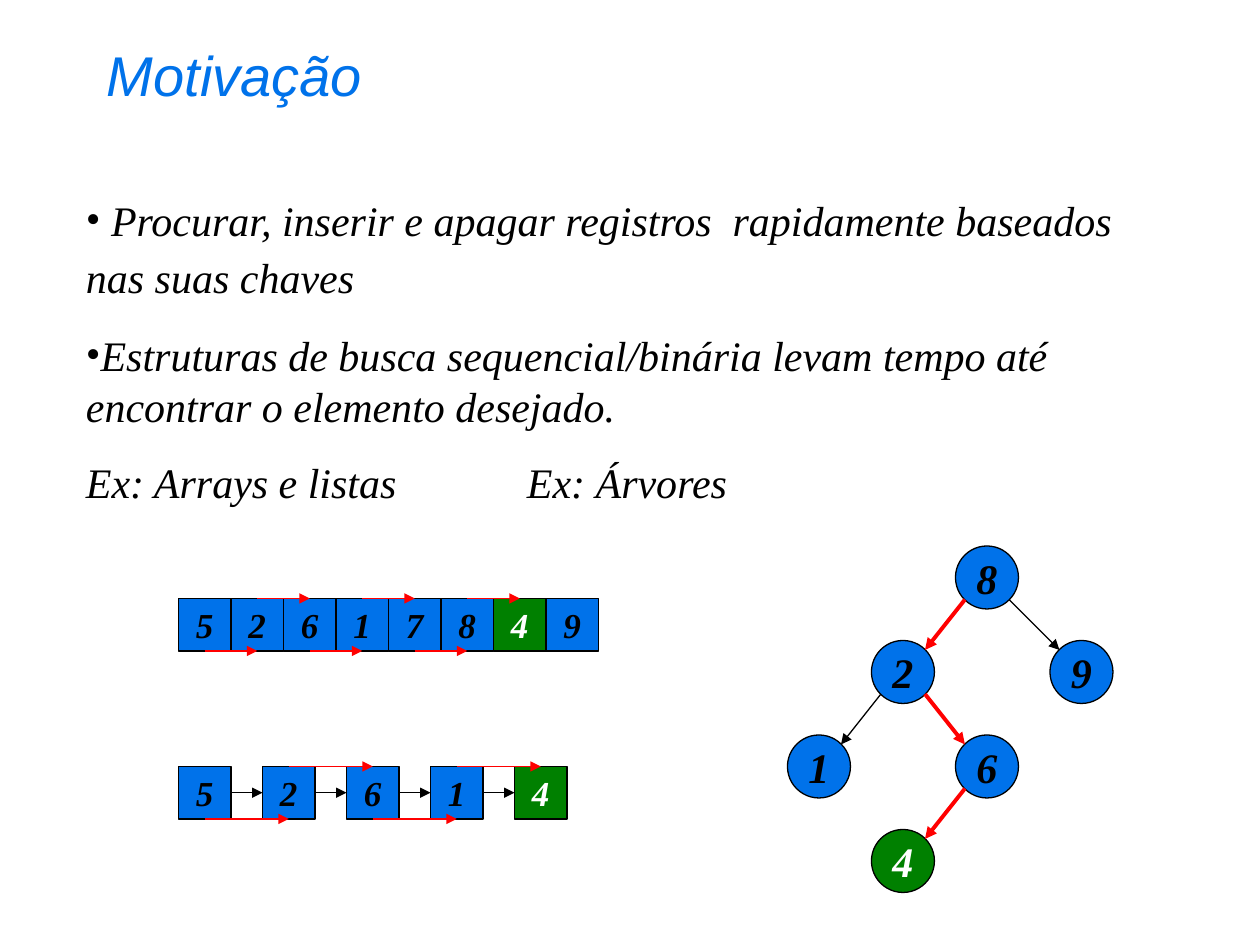
from lxml.etree import SubElement
from pptx import Presentation
from pptx.dml.color import RGBColor
from pptx.enum.shapes import MSO_CONNECTOR, MSO_SHAPE
from pptx.enum.text import MSO_ANCHOR, PP_ALIGN
from pptx.oxml.ns import qn
from pptx.util import Pt

PX = 7620  # EMU per px, 120 px to the inch
BLUE = RGBColor(0x00, 0x72, 0xEA)
GREEN = RGBColor(0x00, 0x80, 0x00)
RED = RGBColor(0xFF, 0x00, 0x00)
BLACK = RGBColor(0x00, 0x00, 0x00)
WHITE = RGBColor(0xFF, 0xFF, 0xFF)
SERIF, SANS = "Times New Roman", "Arial"
FOUND = "4"  # the key being searched for
CELL = 50
NODE = 60


def add_span(para, text, size, color=BLACK, face=SERIF, bold=False):
    span = para.add_run()
    span.text = text
    font = span.font
    font.name, font.size, font.bold, font.italic = face, Pt(size), bold, True
    font.color.rgb = color


def add_text_frame(page, left, top, width, height):
    box = page.shapes.add_textbox(left * PX, top * PX, width * PX, height * PX)
    box.text_frame.word_wrap = True
    return box.text_frame


def set_bullet(para, mark):
    properties = para._p.get_or_add_pPr()
    if not mark:
        SubElement(properties, qn("a:buNone"))
        return
    properties.set("marL", "0")
    properties.set("indent", str(-20 * PX))
    color = SubElement(properties, qn("a:buClr"))
    SubElement(color, qn("a:srgbClr"), val=str(BLACK))
    SubElement(properties, qn("a:buFont"), typeface=SERIF)
    SubElement(properties, qn("a:buChar"), char=mark)


def add_key(page, kind, left, top, side, key, size):
    shape = page.shapes.add_shape(kind, left * PX, top * PX, side * PX, side * PX)
    shape.shadow.inherit = False
    shape.fill.solid()
    shape.fill.fore_color.rgb = GREEN if key == FOUND else BLUE
    shape.line.color.rgb = BLACK
    shape.line.width = Pt(0.75)
    frame = shape.text_frame
    frame.word_wrap = False
    frame.vertical_anchor = MSO_ANCHOR.MIDDLE
    para = frame.paragraphs[0]
    para.alignment = PP_ALIGN.CENTER
    add_span(para, key, size, WHITE if key == FOUND else BLACK, bold=True)


def add_arrow(page, start, end, color=BLACK, width=0.75, kind=MSO_CONNECTOR.STRAIGHT):
    ends = [value * PX for value in (*start, *end)]
    arrow = page.shapes.add_connector(kind, *ends)
    arrow.line.color.rgb = color
    arrow.line.width = Pt(width)
    SubElement(arrow.line._get_or_add_ln(), qn("a:tailEnd"), type="triangle")
    SubElement(arrow._element.spPr, qn("a:effectLst"))


def add_title(page, left, top, width, height):
    para = add_text_frame(page, left, top, width, height).paragraphs[0]
    para.line_spacing = 0.9
    add_span(para, "Motivação", 32, BLUE, SANS)


def add_body(page, left, top, width, height):
    frame = add_text_frame(page, left, top, width, height)
    paragraphs = [
        ("•", [(" Procurar, inserir e apagar registros  rapidamente baseados "
                "nas suas chaves", 24), (" ", 28)]),
        ("•", [("Estruturas de busca sequencial/binária levam tempo até "
                "encontrar o elemento desejado.", 24)]),
        (None, [("Ex: Arrays e listas\t\t\tEx: Árvores", 24)]),
    ]
    for index, (mark, spans) in enumerate(paragraphs):
        para = frame.add_paragraph() if index else frame.paragraphs[0]
        if index:
            para.space_before = Pt(15)
        set_bullet(para, mark)
        for text, size in spans:
            add_span(para, text, size)


def add_sequence(page, left, top, keys, step):
    """Row of cells, with the search hopping below and above in turn."""
    for index, key in enumerate(keys):
        add_key(page, MSO_SHAPE.RECTANGLE, left + index * step, top, CELL, key, 20)
    for index in range(keys.index(FOUND)):
        x = left + index * step + CELL // 2
        y = top if index % 2 else top + CELL
        add_arrow(page, (x, y), (x + step, y), RED, kind=MSO_CONNECTOR.CURVE)
    # Links between separate cells
    if step > CELL:
        y = top + CELL // 2
        for index in range(len(keys) - 1):
            x = left + index * step
            add_arrow(page, (x + CELL, y), (x + step, y))


def add_tree(page, left, top):
    level = 90
    nodes = {"8": (160, 0), "2": (80, 1), "6": (160, 2),
             "4": (80, 3), "1": (0, 2), "9": (250, 1)}
    places = {key: (left + x, top + row * level) for key, (x, row) in nodes.items()}
    for key, (x, y) in places.items():
        add_key(page, MSO_SHAPE.OVAL, x, y, NODE, key, 24)
    # Edges run between the diagonal points of the circles
    near = round(NODE * 0.15)
    far = NODE - near
    search = "8264"
    for parent, child in ("82", "89", "21", "26", "64"):
        (x1, y1), (x2, y2) = places[parent], places[child]
        out, into = (far, near) if x2 > x1 else (near, far)
        color, width = (RED, 2.25) if parent + child in search else (BLACK, 0.75)
        add_arrow(page, (x1 + out, y1 + far), (x2 + into, y2 + near), color, width)


def main():
    deck = Presentation()
    deck.slide_width, deck.slide_height = 1200 * PX, 900 * PX
    page = deck.slides.add_slide(deck.slide_layouts[6])
    add_title(page, 90, 40, 1020, 149)
    add_body(page, 70, 179, 1060, 311)
    add_sequence(page, 170, 570, "52617849", CELL)
    add_sequence(page, 170, 730, "52614", 80)
    add_tree(page, 750, 520)
    deck.save("out.pptx")


if __name__ == "__main__":
    main()
